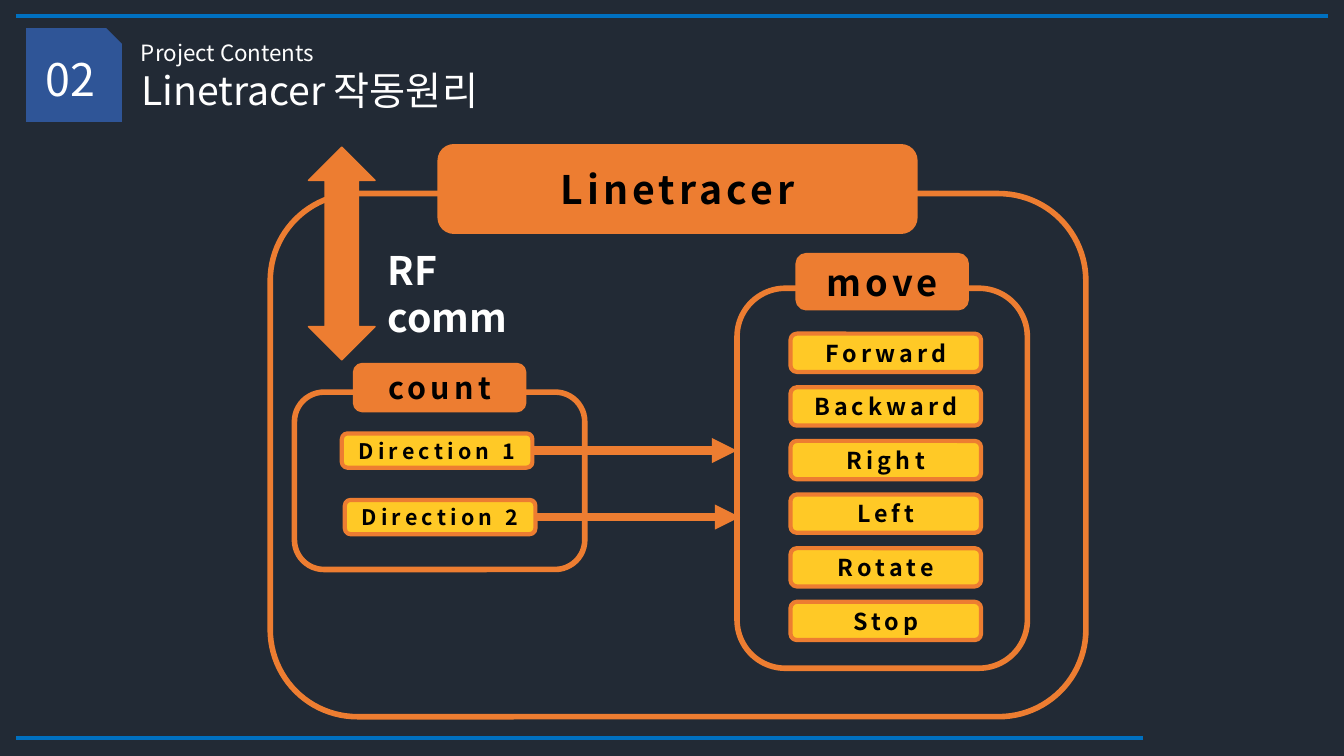
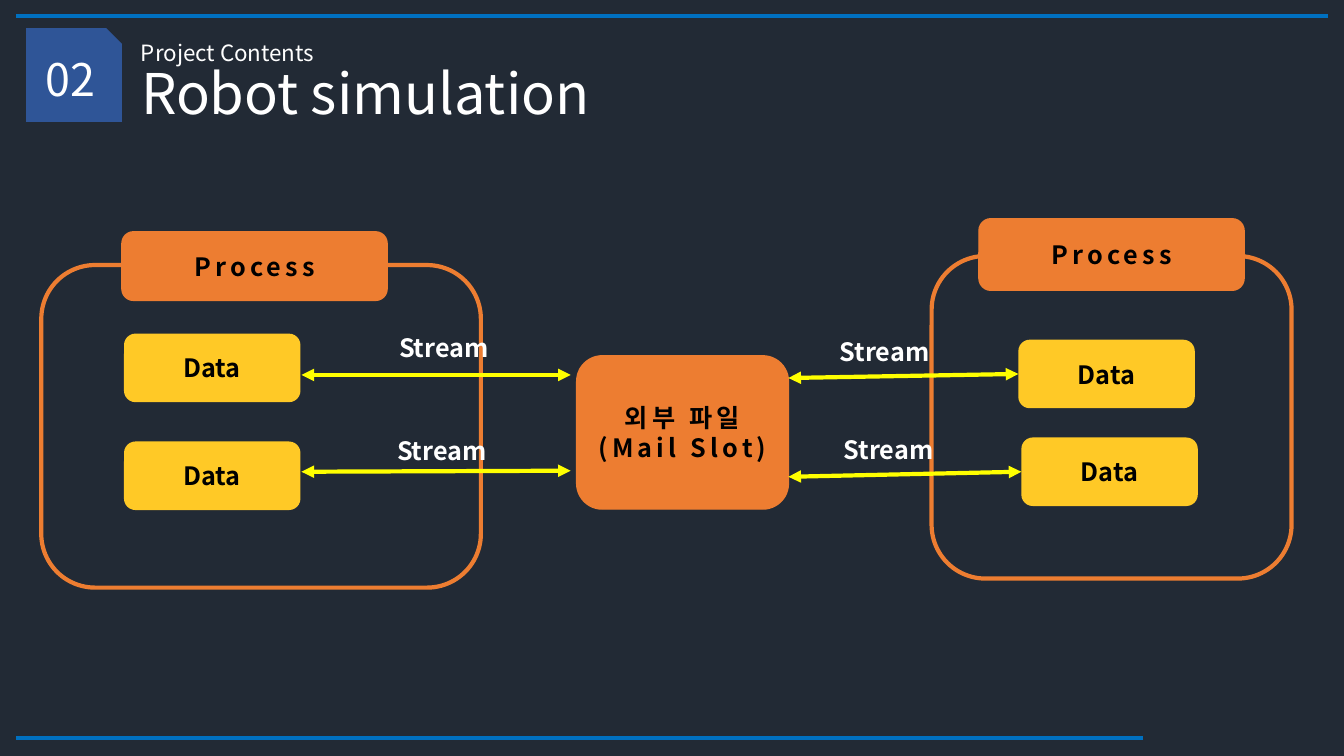
from dataclasses import dataclass

from lxml import etree
from pptx import Presentation
from pptx.dml.color import RGBColor
from pptx.enum.shapes import MSO_CONNECTOR, MSO_SHAPE
from pptx.enum.text import MSO_ANCHOR, MSO_AUTO_SIZE, PP_ALIGN
from pptx.oxml.ns import qn
from pptx.shapes.autoshape import Shape
from pptx.shapes.connector import Connector
from pptx.slide import Slide
from pptx.text.text import TextFrame
from pptx.util import Inches, Pt

ROUND = MSO_SHAPE.ROUNDED_RECTANGLE
SNIP = MSO_SHAPE.SNIP_1_RECTANGLE
ARROW = MSO_SHAPE.UP_DOWN_ARROW
STRAIGHT = MSO_CONNECTOR.STRAIGHT
LEFT, CENTER = PP_ALIGN.LEFT, PP_ALIGN.CENTER
TOP, MIDDLE = MSO_ANCHOR.TOP, MSO_ANCHOR.MIDDLE
NO_FIT = MSO_AUTO_SIZE.NONE
WEST, EAST = 1, 3


@dataclass(frozen=True)
class Theme:
    """Colours, font and type sizes of the deck."""
    font: str = "Noto Sans CJK KR"
    back: str = "222A35"
    rule: str = "0070C0"
    tag: str = "2F5597"
    main: str = "ED7D31"
    item: str = "FFC926"
    flow: str = "FFFF00"
    dark: str = "000000"
    light: str = "FFFFFF"
    number: float = 32
    small: float = 16
    head: float = 28
    large: float = 40
    text: float = 18
    move: float = 25.9
    count: float = 21.7
    step: float = 16.6
    turn: float = 15.3


@dataclass(frozen=True)
class Box:
    """A place on the slide, in inches."""
    x: float
    y: float
    w: float
    h: float


@dataclass(frozen=True)
class Node:
    """A filled box with a centred label."""
    label: str
    box: Box
    fill: str
    size: float
    edge: float = 0
    space: float = 3


@dataclass(frozen=True)
class Flow:
    """An arrow between two points, with its joined nodes."""
    start: tuple[float, float]
    end: tuple[float, float]
    first: Shape | None = None
    last: Shape | None = None


T = Theme()


def place(box: Box) -> tuple[int, int, int, int]:
    """Turn a box into slide lengths."""
    return Inches(box.x), Inches(box.y), Inches(box.w), Inches(box.h)


def write(frame: TextFrame, text: str, *, size: float, color: str = T.light,
          bold: bool = False, space: float = 0, align: PP_ALIGN = LEFT,
          anchor: MSO_ANCHOR = TOP) -> None:
    """Fill a text frame with text in one format."""
    frame.word_wrap = True
    frame.auto_size = NO_FIT
    frame.vertical_anchor = anchor
    frame.text = text
    for para in frame.paragraphs:
        para.alignment = align
        for run in para.runs:
            run.font.size = Pt(size)
            run.font.bold = bold
            run.font.color.rgb = RGBColor.from_string(color)
            run.font.name = T.font
            props = run.font._element
            etree.SubElement(props, qn("a:ea")).set("typeface", T.font)
            if space:
                props.set("spc", str(round(space * 100)))


def label(slide: Slide, text: str, box: Box, size: float,
          bold: bool = False) -> None:
    """Add a plain text box."""
    write(slide.shapes.add_textbox(*place(box)).text_frame, text,
          size=size, bold=bold)


def shape(slide: Slide, box: Box, kind: MSO_SHAPE = ROUND, fill: str = "",
          edge: float = 0) -> Shape:
    """Add a preset shape with an optional fill and edge."""
    item = slide.shapes.add_shape(kind, *place(box))
    item.shadow.inherit = False
    if fill:
        item.fill.solid()
        item.fill.fore_color.rgb = RGBColor.from_string(fill)
    else:
        item.fill.background()
    if edge:
        item.line.color.rgb = RGBColor.from_string(T.main)
        item.line.width = Pt(edge)
    else:
        item.line.fill.background()
    return item


def draw(slide: Slide, node: Node) -> Shape:
    """Draw a labelled node."""
    item = shape(slide, node.box, fill=node.fill, edge=node.edge)
    write(item.text_frame, node.label, size=node.size, color=T.dark,
          bold=True, space=node.space, align=CENTER, anchor=MIDDLE)
    return item


def line(slide: Slide, flow: Flow, color: str, width: float,
         heads: tuple[str, ...] = ()) -> Connector:
    """Draw a straight line with the given arrowheads."""
    points = [Inches(v) for v in (*flow.start, *flow.end)]
    link = slide.shapes.add_connector(STRAIGHT, *points)
    if flow.first is not None:
        link.begin_connect(flow.first, EAST)
    if flow.last is not None:
        link.end_connect(flow.last, WEST)
    link.line.color.rgb = RGBColor.from_string(color)
    link.line.width = Pt(width)
    for head in heads:
        etree.SubElement(link.line._get_or_add_ln(), qn(head)).set(
            "type", "triangle")
    etree.SubElement(link._element.spPr, qn("a:effectLst"))
    return link


def start(deck: Presentation, title: str, box: Box, size: float) -> Slide:
    """Add a slide with the shared rules, number tag and title."""
    slide = deck.slides.add_slide(deck.slide_layouts[5])
    tag = shape(slide, Box(0.26, 0.28, 0.95, 0.93), SNIP, T.tag)
    write(tag.text_frame, "02", size=T.number, align=CENTER, anchor=MIDDLE)
    label(slide, "Project Contents", Box(1.3, 0.34, 8.9, 0.37), T.small)
    for y, right in ((0.16, 13.17), (7.32, 11.34)):
        line(slide, Flow((0.16, y), (right, y)), T.rule, 3)
    head = slide.shapes.title
    head.left, head.top, head.width, head.height = place(box)
    write(head.text_frame, title, size=size)
    return slide


def tracer(deck: Presentation) -> None:
    """Build the slide on how the tracer works."""
    slide = start(deck, "Linetracer 작동원리", Box(1.3, 0.61, 8.9, 0.57), T.head)
    for box in (Box(2.68, 1.92, 8.09, 5.19), Box(7.31, 2.86, 2.88, 3.77),
                Box(2.92, 3.89, 2.88, 1.76)):
        shape(slide, box, edge=4)
    for text, box, size in (
            ("Linetracer", Box(4.36, 1.45, 4.72, 0.85), T.head),
            ("move", Box(7.91, 2.53, 1.68, 0.53), T.move),
            ("count", Box(3.52, 3.62, 1.68, 0.45), T.count)):
        draw(slide, Node(text, box, T.main, size, 3))
    steps = ("Forward", "Backward", "Right", "Left", "Rotate", "Stop")
    pitch = (5.97 - 3.31) / (len(steps) - 1)
    for i, text in enumerate(steps):
        box = Box(7.84, 3.31 + i * pitch, 1.89, 0.38)
        draw(slide, Node(text, box, T.item, T.step, 3))
    label(slide, "RF comm", Box(3.75, 2.39, 1.8, 0.51), T.head, True)
    shape(slide, Box(3.06, 1.46, 0.66, 2.11), ARROW, T.main, 1)
    for i, (x, y, end) in enumerate(((3.39, 4.3, 7.31), (3.42, 4.96, 7.34)), 1):
        box = Box(x, y, 1.89, 0.34)
        node = draw(slide, Node(f"Direction {i}", box, T.item, T.turn, 3))
        mid = y + box.h / 2
        flow = Flow((x + box.w, mid), (end, mid), first=node)
        line(slide, flow, T.main, 6, ("a:tailEnd",))


def streams(deck: Presentation) -> None:
    """Build the slide on the data streams."""
    slide = start(deck, "Robot simulation", Box(1.3, 0.53, 8.9, 0.77), T.large)
    for frame, box in (
            (Box(0.41, 2.63, 4.36, 3.2), Box(1.21, 2.3, 2.63, 0.68)),
            (Box(9.24, 2.54, 3.57, 3.2), Box(9.71, 2.17, 2.63, 0.71))):
        shape(slide, frame, edge=3)
        draw(slide, Node("Process", box, T.main, T.text, 1))
    draw(slide, Node("외부 파일\n(Mail Slot)", Box(5.72, 3.53, 2.1, 1.52),
                     T.main, T.text, 1))
    spots = ((1.23, 3.31), (1.23, 4.38), (10.1, 3.37), (10.13, 4.34))
    data = [draw(slide, Node("Data", Box(x, y, 1.75, 0.68), T.item, T.text,
                             space=0)) for x, y in spots]
    for flow in (Flow((2.99, 3.72), (5.66, 3.72)),
                 Flow((2.99, 4.68), (5.66, 4.67)),
                 Flow((7.82, 3.75), (10.1, 3.71), last=data[2]),
                 Flow((7.82, 4.73), (10.13, 4.68), last=data[3])):
        line(slide, flow, T.flow, 3, ("a:headEnd", "a:tailEnd"))
    for x, y in ((3.86, 3.25), (3.84, 4.27), (8.23, 3.29), (8.27, 4.26)):
        label(slide, "Stream", Box(x, y, 1.94, 0.4), T.text, True)


def main() -> None:
    """Build and save the deck."""
    deck = Presentation()
    deck.slide_width, deck.slide_height = Inches(13.33), Inches(7.5)
    back = deck.slide_master.background.fill
    back.solid()
    back.fore_color.rgb = RGBColor.from_string(T.back)
    tracer(deck)
    streams(deck)
    deck.save("out.pptx")


if __name__ == "__main__":
    main()
